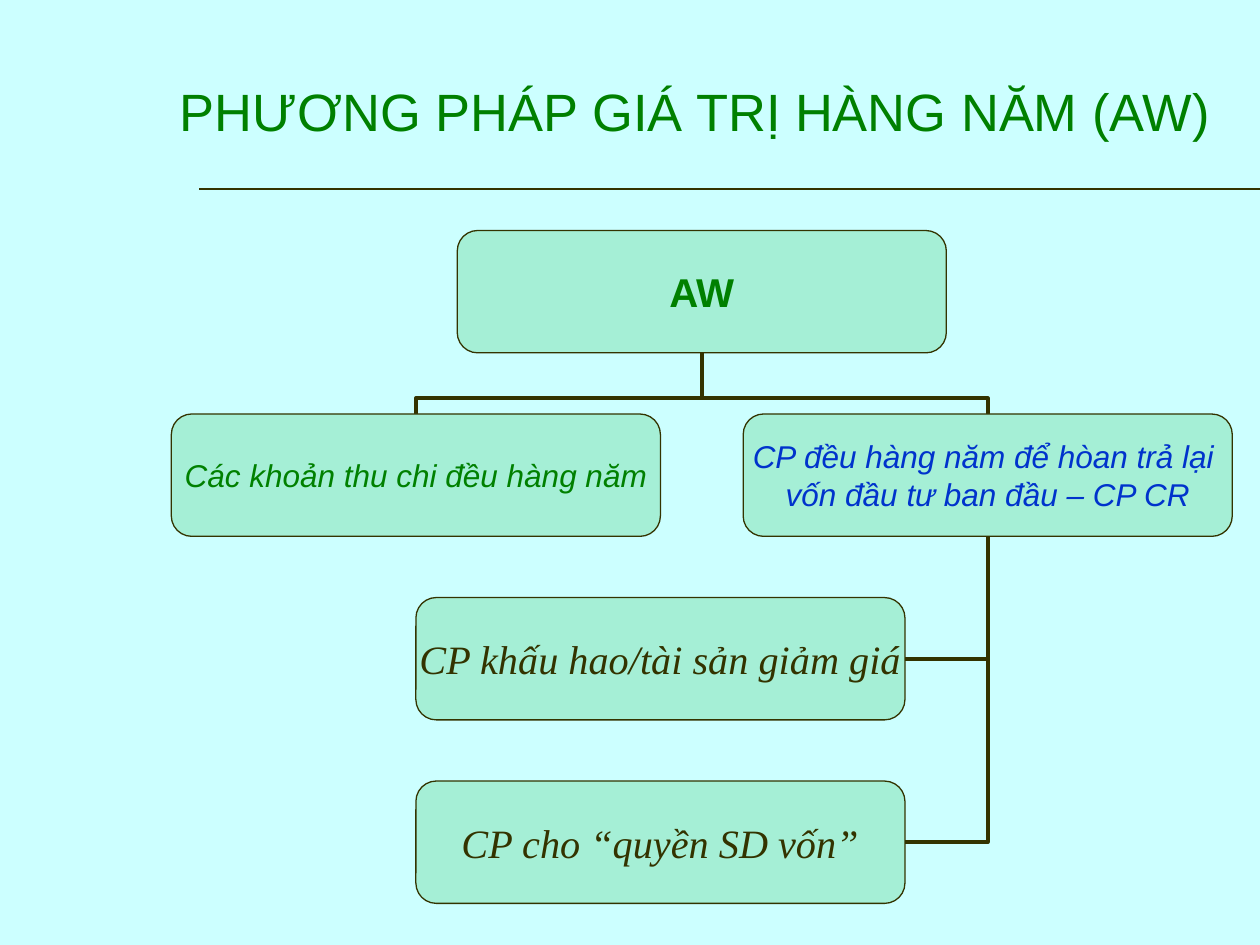
from lxml import etree
from pptx import Presentation
from pptx.dml.color import RGBColor
from pptx.enum.shapes import MSO_CONNECTOR, MSO_SHAPE
from pptx.enum.text import MSO_ANCHOR, PP_ALIGN
from pptx.oxml.ns import qn
from pptx.util import Inches, Pt

ROUNDED = MSO_SHAPE.ROUNDED_RECTANGLE
STRAIGHT, ELBOW = MSO_CONNECTOR.STRAIGHT, MSO_CONNECTOR.ELBOW
MIDDLE = MSO_ANCHOR.MIDDLE
LEFT, CENTER = PP_ALIGN.LEFT, PP_ALIGN.CENTER

SKY = RGBColor(0xCC, 0xFF, 0xFF)
MINT = RGBColor(0xA5, 0xEF, 0xD6)
GREEN = RGBColor(0x00, 0x80, 0x00)
BLUE = RGBColor(0x00, 0x33, 0xCC)
OLIVE = RGBColor(0x33, 0x33, 0x00)

SLIDE_W, SLIDE_H = 10, 7.5
ROWS = 11
NODE_ROWS = 2
NODE_SHARE = 0.461


def write_text(tf, text, size=18, color=GREEN, font="Arial", bold=False,
               italic=False, align=CENTER, wrap=False, inset=0):
    tf.word_wrap = wrap
    tf.vertical_anchor = MIDDLE
    tf.margin_left = tf.margin_right = Inches(inset)
    tf.margin_top = tf.margin_bottom = Inches(inset / 2)
    for i, line in enumerate(text.split("\n")):
        p = tf.add_paragraph() if i else tf.paragraphs[0]
        p.alignment = align
        r = p.add_run()
        r.text = line
        r.font.size, r.font.name = Pt(size), font
        r.font.bold, r.font.italic = bold, italic
        r.font.color.rgb = color


def add_line(slide, kind, x1, y1, x2, y2, width):
    cx = slide.shapes.add_connector(
        kind, Inches(x1), Inches(y1), Inches(x2), Inches(y2))
    cx.line.color.rgb = OLIVE
    cx.line.width = Pt(width)
    etree.SubElement(cx._element.spPr, qn("a:effectLst"))
    return cx


def add_side_link(slide, x1, y1, x2, y2):
    cx = add_line(slide, ELBOW, x1, y1, x2, y2, 2.25)
    cx._element.spPr.find(qn("a:prstGeom")).set("prst", "bentConnector2")


def add_up_link(slide, x1, y1, x2, y2):
    mid_x, mid_y = (x1 + x2) / 2, (y1 + y2) / 2
    half_w, half_h = (y1 - y2) / 2, abs(x1 - x2) / 2
    side = 1 if x1 > x2 else -1
    cx = add_line(slide, ELBOW, mid_x + side * half_w, mid_y - half_h,
                  mid_x - side * half_w, mid_y + half_h, 2.25)
    spPr = cx._element.spPr
    spPr.find(qn("a:xfrm")).set("rot", str(side * 90 % 360 * 60000))
    av = spPr.find(qn("a:prstGeom")).find(qn("a:avLst"))
    etree.SubElement(av, qn("a:gd"), name="adj1", fmla="val 25800")


def add_node(slide, x, y, w, h, text, **fmt):
    s = slide.shapes.add_shape(
        ROUNDED, Inches(x), Inches(y), Inches(w), Inches(h))
    s.adjustments[0] = 0.167
    s.shadow.inherit = False
    s.fill.solid()
    s.fill.fore_color.rgb = MINT
    s.line.color.rgb = OLIVE
    s.line.width = Pt(0.75)
    write_text(s.text_frame, text, **fmt)


def add_header(slide, x, y, w, h):
    add_line(slide, STRAIGHT, x + 0.25, y + h, SLIDE_W, y + h, 0.75)
    tb = slide.shapes.add_textbox(Inches(x), Inches(y), Inches(w), Inches(h))
    write_text(tb.text_frame, "PHƯƠNG PHÁP GIÁ TRỊ HÀNG NĂM (AW)",
               size=30, align=LEFT, wrap=True, inset=0.1)


def add_tree(slide, x, y, w, h):
    row = h / ROWS
    node_w, node_h = w * NODE_SHARE, row * NODE_ROWS
    tops = [y + i * row * 3 for i in range(4)]
    root_x = x + (w - node_w) / 2
    right_x = x + w - node_w
    leaf_x = x + node_w / 2
    root_mid, right_mid = root_x + node_w / 2, right_x + node_w / 2

    for top in reversed(tops[2:]):
        add_side_link(slide, leaf_x + node_w, top + node_h / 2,
                      right_mid, tops[1] + node_h)
    for child_mid in (right_mid, leaf_x):
        add_up_link(slide, child_mid, tops[1], root_mid, tops[0] + node_h)

    leaf = dict(size=23, color=OLIVE, font="Times New Roman", italic=True)
    nodes = [
        (root_x, tops[0], "AW", dict(size=23, bold=True)),
        (x, tops[1], "Các khoản thu chi đều hàng năm", dict(italic=True)),
        (right_x, tops[1],
         "CP đều hàng năm để hòan trả lại \nvốn đầu tư ban đầu – CP CR",
         dict(color=BLUE, italic=True)),
        (leaf_x, tops[2], "CP khấu hao/tài sản giảm giá", leaf),
        (leaf_x, tops[3], "CP cho “quyền SD vốn”", leaf),
    ]
    for left, top, text, fmt in nodes:
        add_node(slide, left, top, node_w, node_h, text, **fmt)


def main():
    prs = Presentation()
    prs.slide_width, prs.slide_height = Inches(SLIDE_W), Inches(SLIDE_H)
    slide = prs.slides.add_slide(prs.slide_layouts[6])
    slide.background.fill.solid()
    slide.background.fill.fore_color.rgb = SKY
    add_header(slide, 1.33, 0.25, 8.92, 1.25)
    add_tree(slide, 1.36, 1.83, 8.42, 5.34)
    prs.save("out.pptx")


if __name__ == "__main__":
    main()
